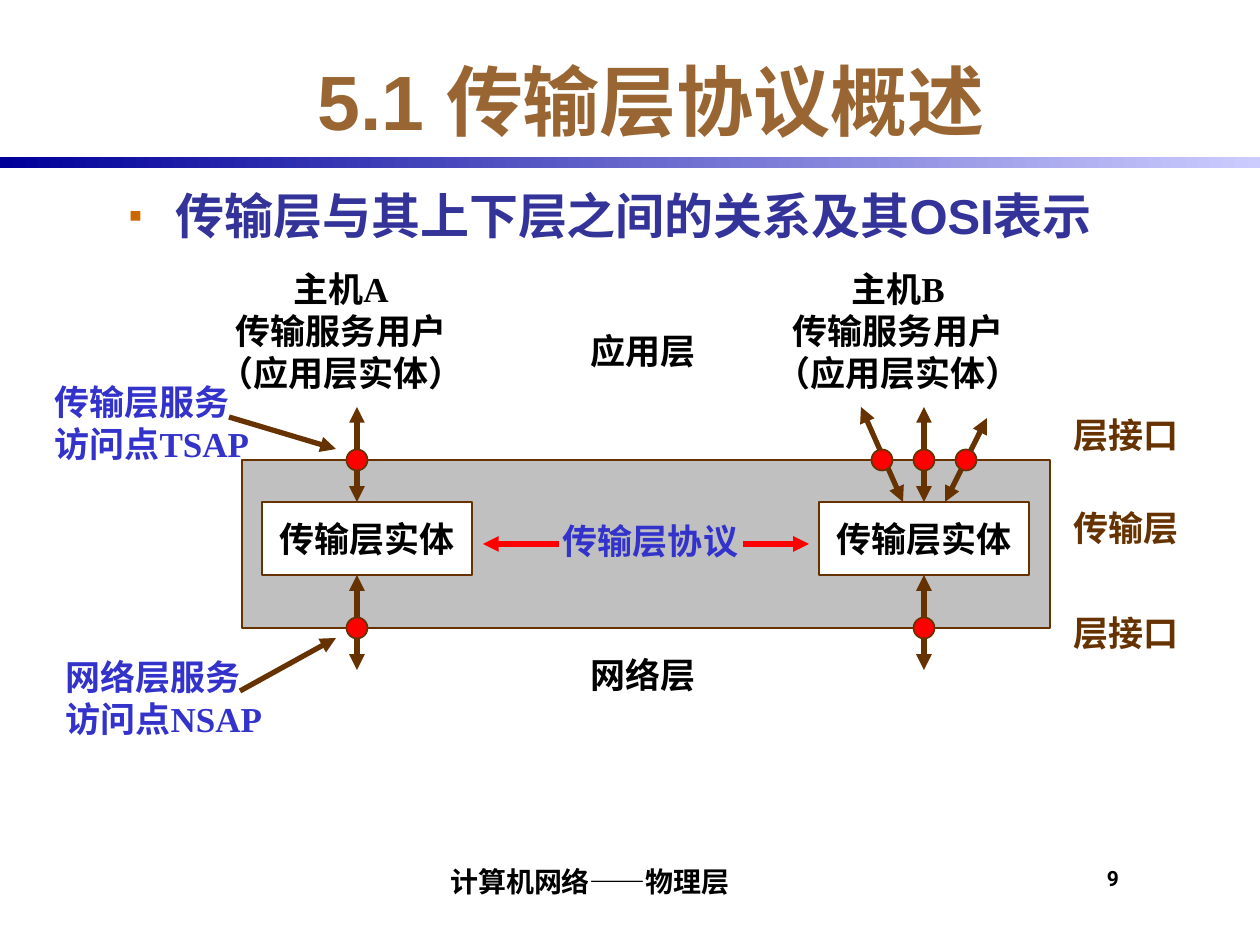
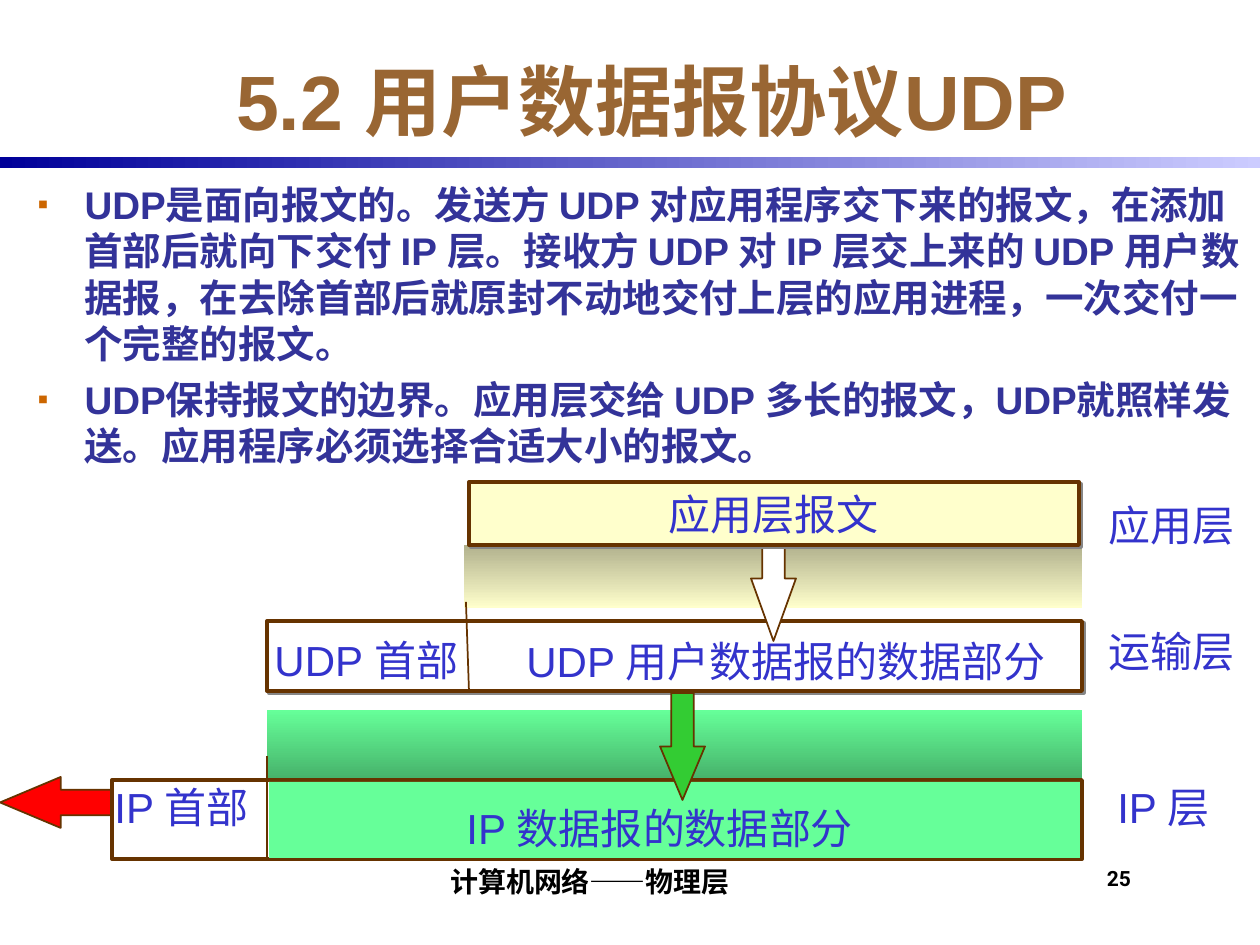
from dataclasses import dataclass

from lxml.etree import SubElement
from pptx import Presentation
from pptx.dml.color import RGBColor
from pptx.enum.shapes import MSO_CONNECTOR, MSO_SHAPE
from pptx.enum.text import MSO_ANCHOR, MSO_AUTO_SIZE, PP_ALIGN
from pptx.oxml.ns import qn
from pptx.util import Pt

EMU_PER_PX = 914400 / 126
SLIDE_WIDTH, SLIDE_HEIGHT = 1260, 945


@dataclass(frozen=True)
class TextStyle:
    font: str
    size: int
    color: str
    bold: bool = True


@dataclass(frozen=True)
class Theme:
    brown: str = "663300"
    red: str = "FF0000"
    white: str = "FFFFFF"
    gray: str = "C0C0C0"
    bullet: str = "CC6600"
    shadow: str = "868686"
    cream: str = "FFFFCC"
    mint: str = "66FF99"
    green: str = "33CC33"
    band: tuple = ("000099", "CCCCFF")
    cream_fade: tuple = ("B1B18D", "FFFFCC")
    mint_fade: tuple = ("66FF99", "46B16A")
    title: TextStyle = TextStyle("Arial", 44, "996633")
    topic: TextStyle = TextStyle("Arial", 28, "333399")
    body: TextStyle = TextStyle("Arial", 22, "333399")
    host: TextStyle = TextStyle("Times New Roman", 20, "000000")
    access: TextStyle = TextStyle("Times New Roman", 20, "3333CC")
    layer: TextStyle = TextStyle("Times New Roman", 20, "663300")
    packet: TextStyle = TextStyle("Arial", 24, "3333CC", False)
    footer: TextStyle = TextStyle("Roboto", 16, "000000")
    number: TextStyle = TextStyle("Roboto", 12, "000000")


THEME = Theme()


def px(length):
    return round(length * EMU_PER_PX)


def place(shape, box):
    shape.left, shape.top, shape.width, shape.height = map(px, box)


def write(shape, lines, style, align=PP_ALIGN.LEFT):
    frame = shape.text_frame
    frame.text = "\n".join(lines)
    for paragraph in frame.paragraphs:
        paragraph.alignment = align
        font = paragraph.font
        font.name, font.size, font.bold = style.font, Pt(style.size), style.bold
        font.color.rgb = RGBColor.from_string(style.color)


def add_label(slide, box, lines, style, align=PP_ALIGN.LEFT, wrap=True):
    label = slide.shapes.add_textbox(*map(px, box))
    label.text_frame.word_wrap = wrap
    write(label, lines, style, align)
    return label


def add_figure(slide, preset, box, fill, line_width=0):
    """Add a preset shape; a pair of colours as fill makes a gradient."""
    figure = slide.shapes.add_shape(preset, *map(px, box))
    figure.shadow.inherit = False
    if isinstance(fill, tuple):
        figure.fill.gradient()
        for stop, color in zip(figure.fill.gradient_stops, fill):
            stop.color.rgb = RGBColor.from_string(color)
    else:
        figure.fill.solid()
        figure.fill.fore_color.rgb = RGBColor.from_string(fill)
    if line_width:
        figure.line.color.rgb = RGBColor.from_string(THEME.brown)
        figure.line.width = Pt(line_width)
    else:
        figure.line.fill.background()
    return figure


def add_box(slide, box, fill, line_width=0, lines=(), style=None):
    rectangle = add_figure(slide, MSO_SHAPE.RECTANGLE, box, fill, line_width)
    if lines:
        rectangle.text_frame.word_wrap = False
        rectangle.text_frame.vertical_anchor = MSO_ANCHOR.MIDDLE
        write(rectangle, lines, style, PP_ALIGN.CENTER)
    return rectangle


def add_fade(slide, box, colors, angle=270):
    add_box(slide, box, colors).fill.gradient_angle = angle


def add_block_arrow(slide, preset, box, fill, head_ratio):
    arrow = add_figure(slide, preset, box, fill, 1)
    arrow.adjustments[0], arrow.adjustments[1] = 0.5, head_ratio


def add_dot(slide, center_x, center_y, size=21):
    corner = (center_x - size / 2, center_y - size / 2)
    add_figure(slide, MSO_SHAPE.OVAL, (*corner, size, size), THEME.red, 1)


def add_line(slide, start, end, color=THEME.brown, width=3, arrows=("tailEnd",)):
    line = slide.shapes.add_connector(MSO_CONNECTOR.STRAIGHT, *map(px, start + end))
    line.line.color.rgb = RGBColor.from_string(color)
    line.line.width = Pt(width)
    outline = line.line._get_or_add_ln()
    for arrow in arrows:
        SubElement(outline, qn("a:" + arrow), type="triangle")
    SubElement(line._element.spPr, qn("a:effectLst"))
    return line


def add_double_arrow(slide, start, end):
    return add_line(slide, start, end, arrows=("headEnd", "tailEnd"))


def cast_shadow(shape):
    effects = shape._element.spPr.find(qn("a:effectLst"))
    shadow = SubElement(effects, qn("a:outerShdw"), blurRad="0", dist=str(Pt(1.4)),
                        dir="2700000", algn="ctr", rotWithShape="0")
    SubElement(shadow, qn("a:srgbClr"), val=THEME.shadow)


def add_bullet(paragraph, indent):
    properties = paragraph._p.get_or_add_pPr()
    properties.set("marL", str(px(indent)))
    properties.set("indent", str(-px(indent)))
    color = SubElement(properties, qn("a:buClr"))
    SubElement(color, qn("a:srgbClr"), val=THEME.bullet)
    SubElement(properties, qn("a:buSzPct"), val="80000")
    SubElement(properties, qn("a:buFont"), typeface="Arial")
    SubElement(properties, qn("a:buChar"), char="▪")


def fill_body(body, box, items, style, gap):
    place(body, box)
    frame = body.text_frame
    frame.text = "\n".join(items)
    frame.auto_size = MSO_AUTO_SIZE.NONE
    for paragraph in frame.paragraphs:
        add_bullet(paragraph, 47)
    write_fonts = [paragraph.font for paragraph in frame.paragraphs]
    for font in write_fonts:
        font.name, font.size, font.bold = style.font, Pt(style.size), style.bold
        font.color.rgb = RGBColor.from_string(style.color)
    for index, paragraph in enumerate(frame.paragraphs):
        paragraph.space_before = Pt(gap if index else 0)


def set_margins(label, left, top, right, bottom):
    frame = label.text_frame
    frame.margin_left, frame.margin_top = px(left), px(top)
    frame.margin_right, frame.margin_bottom = px(right), px(bottom)


def start_slide(presentation, title, number):
    """Add a slide with the title, band, footer and number that all slides share."""
    slide = presentation.slides.add_slide(presentation.slide_layouts[1])
    add_fade(slide, (0, 157, SLIDE_WIDTH, 11), THEME.band, 0)
    heading = slide.shapes.title
    place(heading, (116, 42, 1071, 116))
    write(heading, [title], THEME.title, PP_ALIGN.CENTER)
    heading.text_frame.vertical_anchor = MSO_ANCHOR.MIDDLE
    heading.text_frame.auto_size = MSO_AUTO_SIZE.NONE
    page = add_label(slide, (1102, 861, 73, 53), [str(number)], THEME.number)
    set_margins(page, 5, 5, 0, 0)
    footer = add_label(slide, (262, 850, 651, 53), ["计算机网络——物理层"],
                       THEME.footer, PP_ALIGN.CENTER)
    set_margins(footer, 5, 0, 0, 5)
    footer.text_frame.vertical_anchor = MSO_ANCHOR.BOTTOM
    return slide


def build_overview(presentation):
    slide = start_slide(presentation, "5.1 传输层协议概述", 9)
    fill_body(slide.placeholders[1], (116, 179, 1071, 630),
              ["传输层与其上下层之间的关系及其OSI表示"], THEME.topic, 7)

    top, bottom = 460, 628
    entity_top, entity_height = 502, 73
    entity_bottom = entity_top + entity_height
    line_a, line_b = 357, 924
    add_box(slide, (242, top, 808, bottom - top), THEME.gray, 1)
    entity_a, entity_b = [
        add_box(slide, (left, entity_top, 210, entity_height), THEME.white, 1,
                ["传输层实体"], THEME.host)
        for left in (262, 819)]
    add_label(slide, (535, 513, 231, 55), ["传输层协议"], THEME.access, PP_ALIGN.CENTER)
    for start, end in ((559, 483), (743, 809)):
        add_line(slide, (start, 544), (end, 544), THEME.red)

    for left, host in ((199, "主机A"), (756, "主机B")):
        add_label(slide, (left, 261, 284, 139), [host, "传输服务用户", "（应用层实体）"],
                  THEME.host, PP_ALIGN.CENTER)
    for left, y, service, point in ((42, 374, "传输层服务", "访问点TSAP"),
                                    (53, 649, "网络层服务", "访问点NSAP")):
        add_label(slide, (left, y, 242, 97), [service, point], THEME.access)
    add_line(slide, (229, 417), (336, 449))
    add_line(slide, (240, 691), (336, 638))

    for x in (line_a, line_b):
        upper = add_double_arrow(slide, (x, 407), (x, entity_top))
        lower = add_double_arrow(slide, (x, entity_bottom), (x, 670))
        if x == line_b:
            upper.end_connect(entity_b, 0)
            lower.begin_connect(entity_b, 2)
    add_double_arrow(slide, (987, 418), (945, entity_top))
    add_double_arrow(slide, (861, 407), (903, entity_top))
    for x in (line_a, line_b - 42, line_b, line_b + 42):
        add_dot(slide, x, top)
    for x in (line_a, line_b):
        add_dot(slide, x, bottom)

    for left, y, name, style in ((1061, 407, "层接口", THEME.layer),
                                 (1061, 500, "传输层", THEME.layer),
                                 (1061, 605, "层接口", THEME.layer),
                                 (578, 323, "应用层", THEME.host),
                                 (578, 647, "网络层", THEME.host)):
        add_label(slide, (left, y, 136, 55), [name], style)


def build_udp(presentation):
    slide = start_slide(presentation, "5.2 用户数据报协议UDP", 25)
    fill_body(slide.placeholders[1], (25, 175, 1235, 630), [
        "UDP是面向报文的。发送方 UDP 对应用程序交下来的报文，在添加首部后就向下交付 IP 层。"
        "接收方 UDP 对 IP 层交上来的 UDP 用户数据报，在去除首部后就原封不动地交付上层的应用进程，"
        "一次交付一个完整的报文。",
        "UDP保持报文的边界。应用层交给 UDP 多长的报文，UDP就照样发送。"
        "应用程序必须选择合适大小的报文。"], THEME.body, 5.5)

    add_block_arrow(slide, MSO_SHAPE.LEFT_ARROW, (0, 777, 118, 51), THEME.red, 1.19)
    add_fade(slide, (267, 710, 815, 70), THEME.mint_fade)
    add_fade(slide, (464, 545, 618, 63), THEME.cream_fade)
    cast_shadow(add_box(slide, (267, 621, 815, 70), THEME.white, 2.25))
    add_box(slide, (112, 780, 970, 79), THEME.white, 2.25)
    add_box(slide, (269, 782, 811, 76), THEME.mint)
    add_line(slide, (466, 602), (469, 691), width=1, arrows=())
    add_line(slide, (267, 756), (267, 859), width=1, arrows=())
    add_block_arrow(slide, MSO_SHAPE.DOWN_ARROW, (660, 693, 45, 107), THEME.green, 1.19)

    for left, y, width, text in ((454, 796, 422, "IP 数据报的数据部分"),
                                 (102, 775, 170, "IP 首部"),
                                 (1105, 775, 129, "IP 层"),
                                 (262, 628, 219, "UDP 首部"),
                                 (514, 629, 556, "UDP 用户数据报的数据部分"),
                                 (1096, 619, 151, "运输层"),
                                 (1096, 493, 151, "应用层")):
        add_label(slide, (left, y, width, 63), [text], THEME.packet, wrap=False)

    add_block_arrow(slide, MSO_SHAPE.DOWN_ARROW, (751, 516, 45, 125), THEME.white, 1.39)
    cast_shadow(add_box(slide, (469, 482, 610, 63), THEME.cream, 2.25,
                        ["应用层报文"], THEME.packet))


def main():
    presentation = Presentation()
    presentation.slide_width = px(SLIDE_WIDTH)
    presentation.slide_height = px(SLIDE_HEIGHT)
    build_overview(presentation)
    build_udp(presentation)
    presentation.save("out.pptx")


if __name__ == "__main__":
    main()
